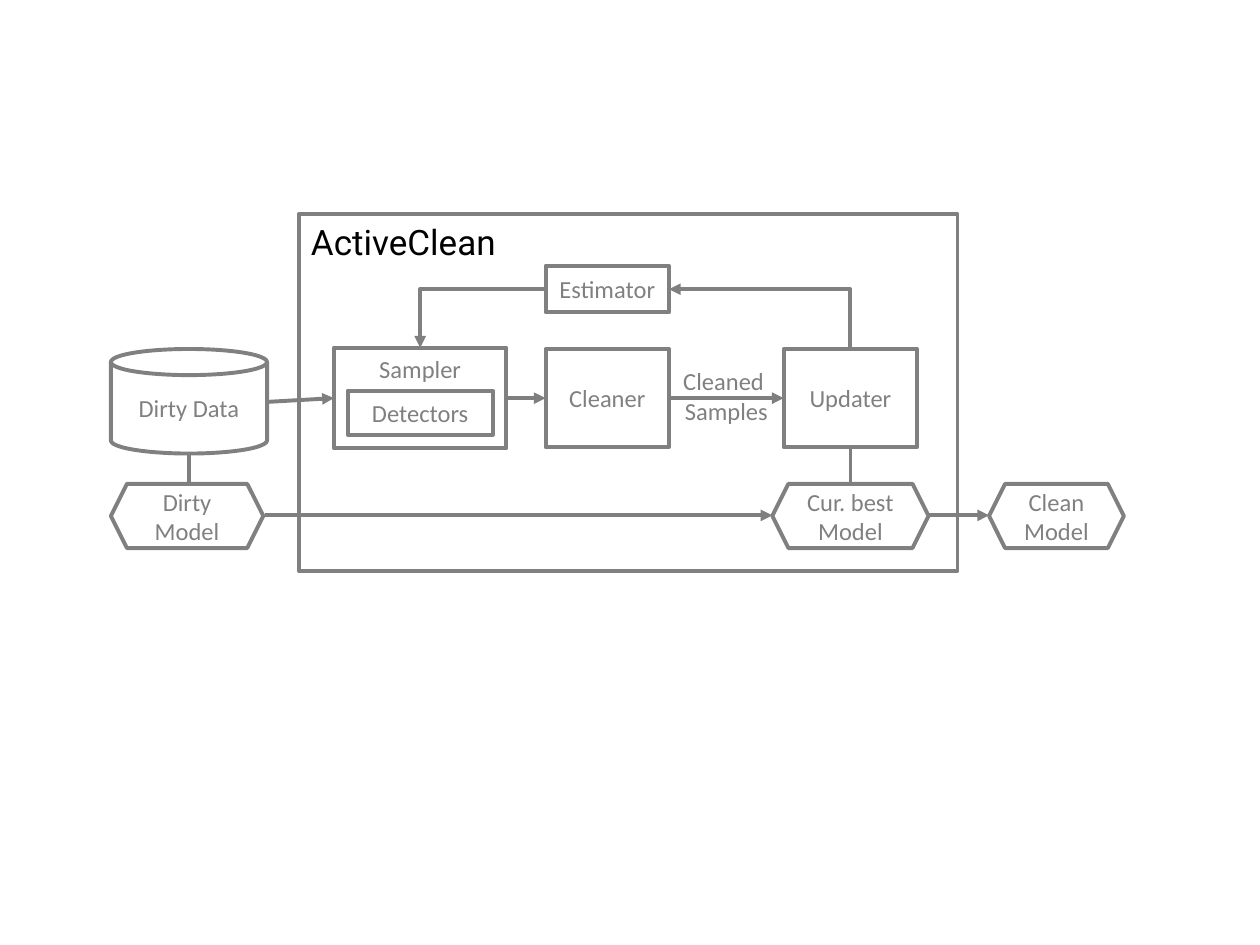
from pptx import Presentation
from pptx.dml.color import RGBColor
from pptx.enum.shapes import MSO_CONNECTOR, MSO_SHAPE
from pptx.enum.text import MSO_ANCHOR, MSO_AUTO_SIZE, PP_ALIGN
from pptx.oxml.ns import qn
from pptx.util import Inches, Pt
from lxml import etree

RECT, CAN, HEX = MSO_SHAPE.RECTANGLE, MSO_SHAPE.CAN, MSO_SHAPE.HEXAGON
LINE, BENT = MSO_CONNECTOR.STRAIGHT, MSO_CONNECTOR.ELBOW
TOP, MID = MSO_ANCHOR.TOP, MSO_ANCHOR.MIDDLE
LEFT, MEAN = PP_ALIGN.LEFT, PP_ALIGN.CENTER
GROW = MSO_AUTO_SIZE.SHAPE_TO_FIT_TEXT
GREY = RGBColor(0x80, 0x80, 0x80)
WIRE = RGBColor(0x7F, 0x7F, 0x7F)
WHITE = RGBColor(0xFF, 0xFF, 0xFF)
BLACK = RGBColor(0, 0, 0)
HEAD = {"name": "Roboto", "size": Pt(20)}
BODY = {"name": "Calibri", "size": Pt(14)}

deck = Presentation()
deck.slide_width, deck.slide_height = Inches(10), Inches(7.5)
COL, ROW = deck.slide_width / 100, deck.slide_height / 75
slide = deck.slides.add_slide(deck.slide_layouts[6])
items = slide.shapes


def write(shape, lines, side=MEAN, look=BODY, tint=GREY):
    frame = shape.text_frame
    frame.text = "\n".join(lines)
    for para in frame.paragraphs:
        para.alignment = side
        for key, value in look.items():
            setattr(para.font, key, value)
        para.font.color.rgb = tint


def draw(kind, x, y, wide, high, anchor=MID):
    shape = items.add_shape(kind, int(x * COL), int(y * ROW), int(wide * COL), int(high * ROW))
    shape.shadow.inherit = False
    shape.fill.solid()
    shape.fill.fore_color.rgb = WHITE
    shape.line.color.rgb = GREY
    shape.line.width = Pt(2.25)
    shape.text_frame.word_wrap = True
    shape.text_frame.vertical_anchor = anchor
    return shape


write(draw(RECT, 23.7, 17, 52.3, 28.3, TOP), ["ActiveClean"], LEFT, HEAD, BLACK)

nodes = {}
for name, kind, x, y, wide, high, anchor in [
    ("Sampler", RECT, 26.5, 27.6, 13.7, 8, TOP),
    ("Detectors", RECT, 27.6, 31, 11.5, 3.5, MID),
    ("Cleaner", RECT, 43.3, 27.7, 9.8, 7.8, MID),
    ("Estimator", RECT, 43.3, 21.1, 9.8, 3.7, MID),
    ("Dirty Data", CAN, 8.8, 27.7, 12.4, 8.3, MID),
    ("Updater", RECT, 62.2, 27.7, 10.6, 7.8, MID),
]:
    nodes[name] = draw(kind, x, y, wide, high, anchor)
    write(nodes[name], [name])

for kind, start, stop, tip in [
    (LINE, (21.2, 31.9), ("Sampler", 1), "tailEnd"),
    (LINE, (21, 40.9), (61.3, 40.9), "tailEnd"),
    (LINE, (15, 36), (15, 40.1), "tailEnd"),
    (LINE, ("Sampler", 3), ("Cleaner", 1), "tailEnd"),
    (LINE, ("Cleaner", 3), ("Updater", 1), "tailEnd"),
    (LINE, ("Updater", 2), (67.5, 40.1), "tailEnd"),
    (LINE, (71.3, 40.9), (78.5, 40.9), "tailEnd"),
    (BENT, ("Estimator", 3), ("Updater", 0), "headEnd"),
    (BENT, ("Estimator", 1), ("Sampler", 0), "tailEnd"),
]:
    spots = []
    for spot in (start, stop):
        joined = spot[0] in nodes
        spots += [0, 0] if joined else [int(spot[0] * COL), int(spot[1] * ROW)]
    link = items.add_connector(kind, *spots)
    if start[0] in nodes:
        link.begin_connect(nodes[start[0]], start[1])
    if stop[0] in nodes:
        link.end_connect(nodes[stop[0]], stop[1])
    link.line.color.rgb = GREY if kind == BENT else WIRE
    link.line.width = Pt(2.25)
    props = link.element.spPr
    if kind == BENT:
        props.find(qn("a:prstGeom")).set("prst", "bentConnector2")
    etree.SubElement(props.find(qn("a:ln")), qn("a:" + tip), type="triangle")
    etree.SubElement(props, qn("a:effectLst"))

for word, x, wide in [("Dirty", 8.8, 12.1), ("Clean", 78.5, 10.7), ("Cur. best", 61.3, 12.4)]:
    model = draw(HEX, x, 38.4, wide, 5.1)
    for edge in ("left", "right", "top", "bottom"):
        setattr(model.text_frame, "margin_" + edge, 0)
    write(model, [word, "Model"])

label = items.add_textbox(int(53.1 * COL), int(28.6 * ROW), int(9.1 * COL), int(5.7 * ROW))
label.text_frame.word_wrap = False
label.text_frame.auto_size = GROW
write(label, ["Cleaned ", "Samples"])

deck.save("out.pptx")
